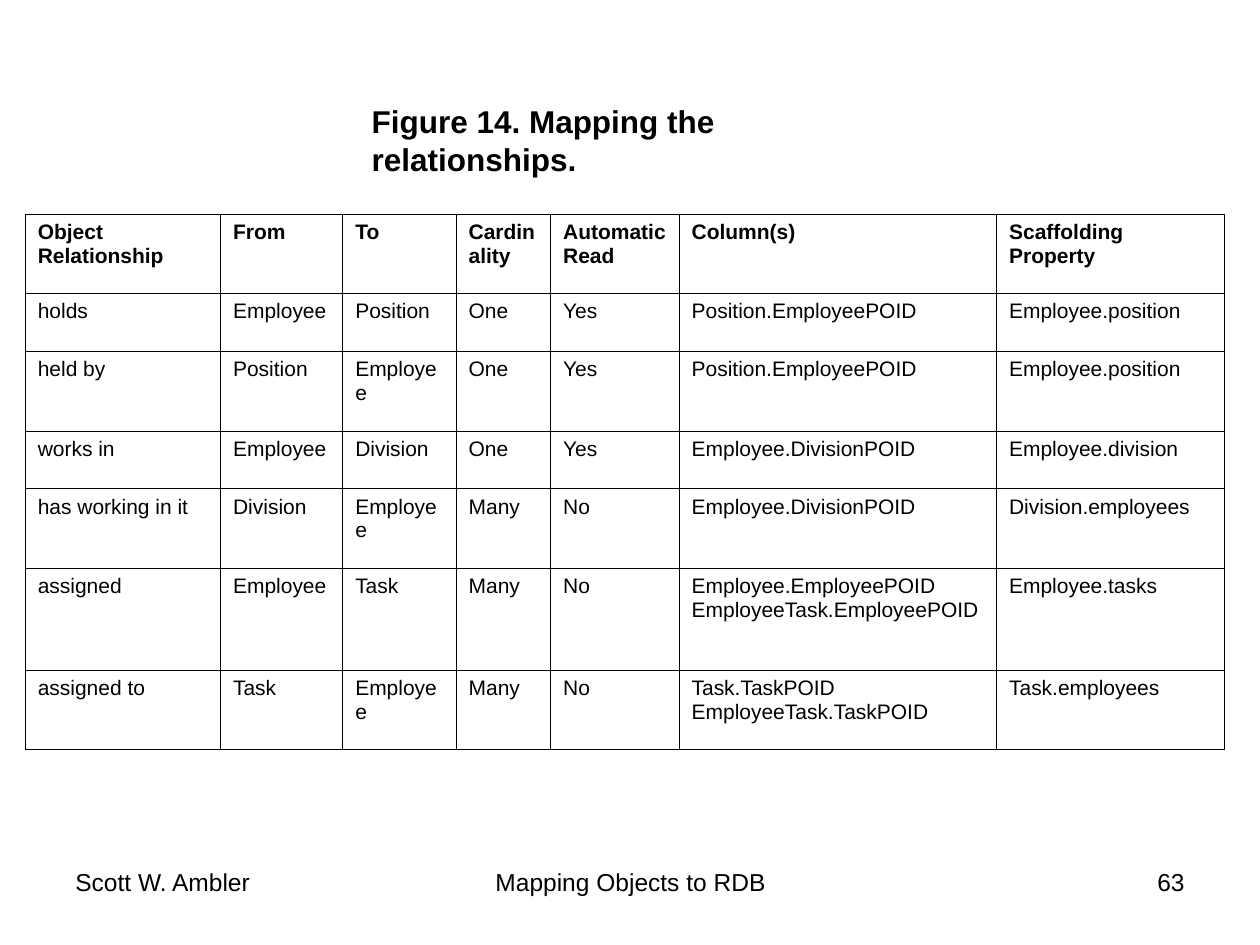
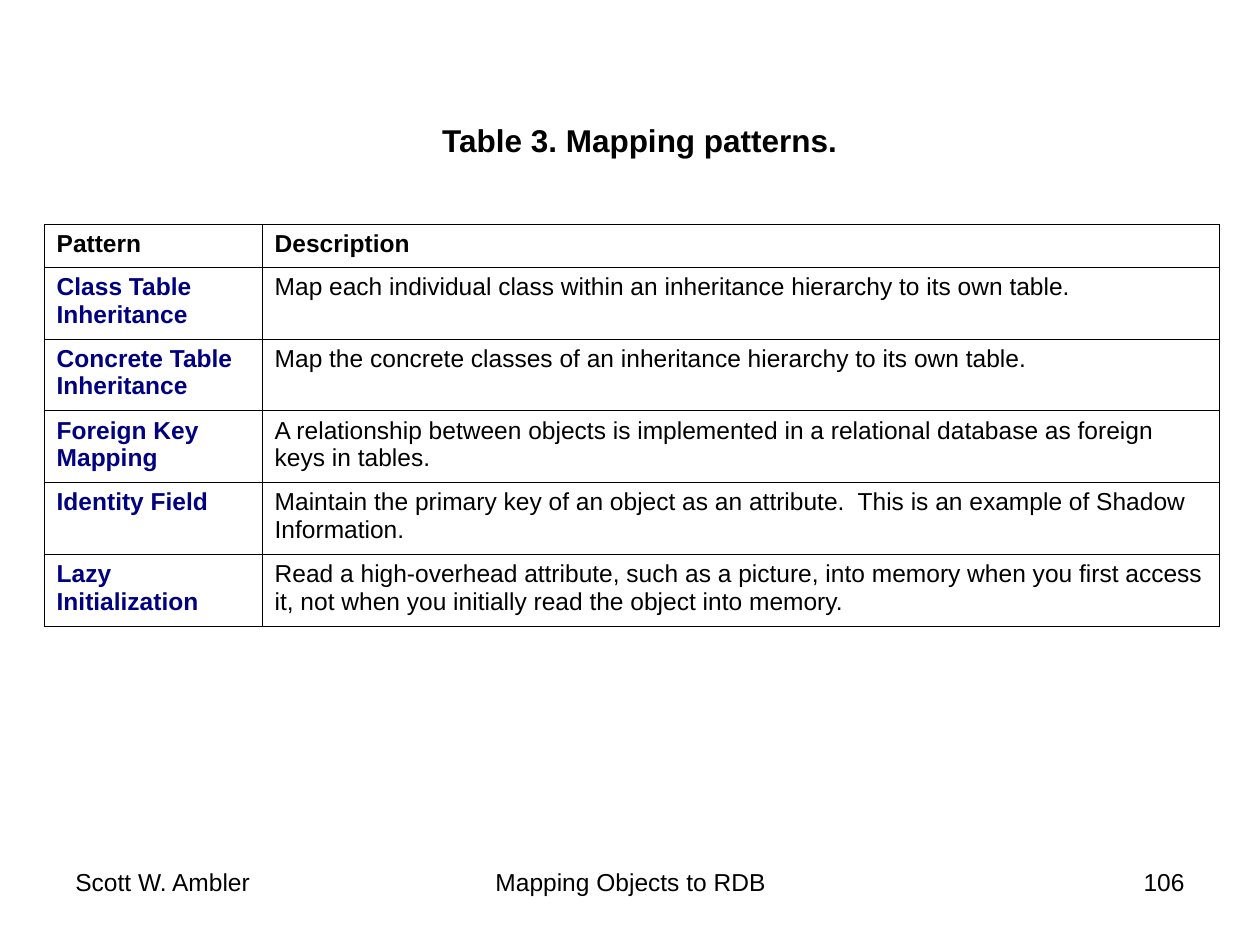
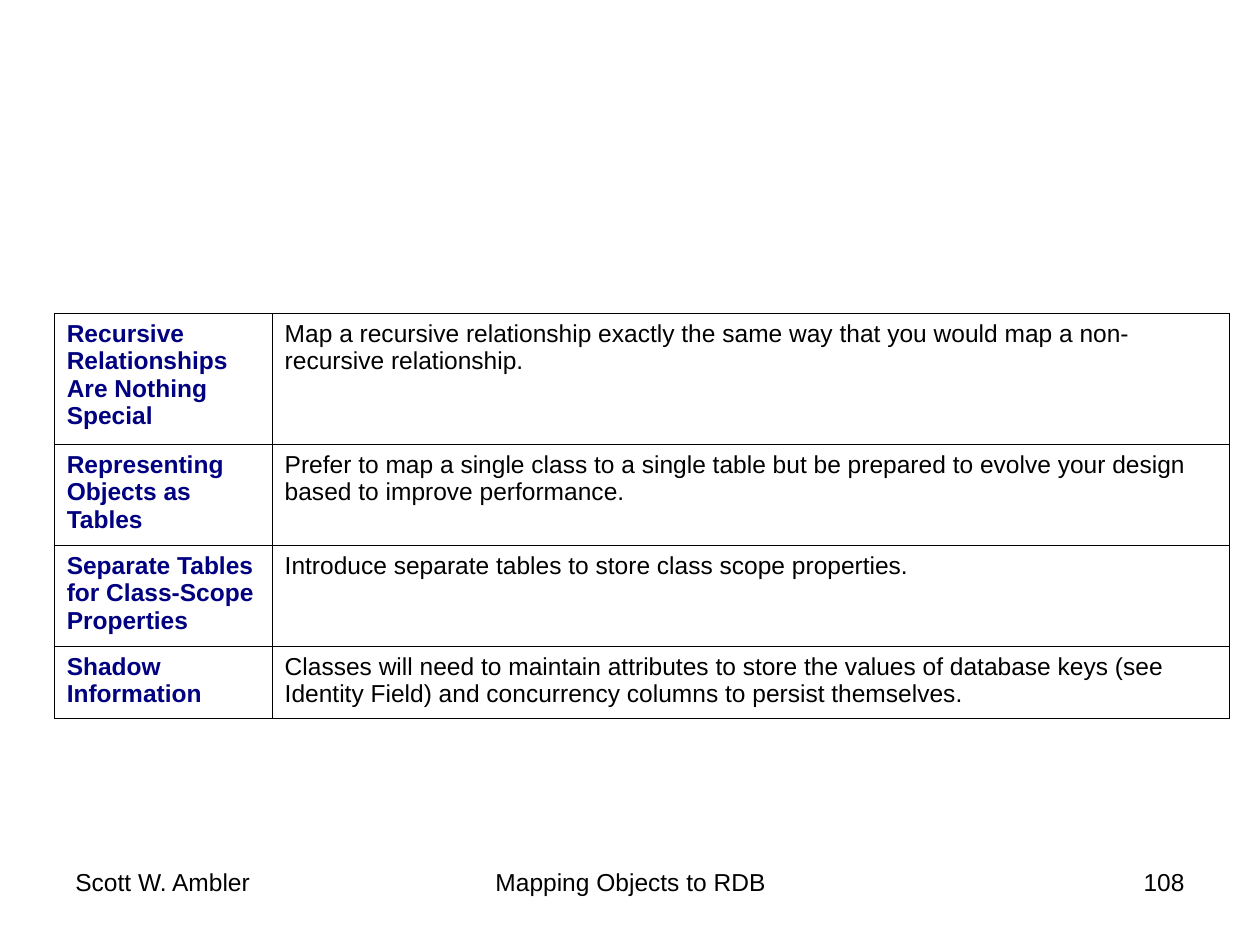
"""Build three slides of tables on mapping objects to relational databases."""
from lxml.etree import SubElement
from pptx import Presentation
from pptx.dml.color import RGBColor
from pptx.enum.text import MSO_ANCHOR, MSO_AUTO_SIZE, PP_ALIGN
from pptx.oxml.ns import qn
from pptx.util import Inches, Pt

BLACK, NAVY = "000000", "000080"
TITLE_ONLY, BLANK = 5, 6
FOOTER_TOP, FOOTER_HEIGHT = 6.83, 0.52
PATTERN_COLUMNS = [1.73, 7.6]


def colour(hex_code):
    return RGBColor.from_string(hex_code)


def write(frame, text, size, hex_code=BLACK, bold=False, align=PP_ALIGN.LEFT):
    frame.vertical_anchor = MSO_ANCHOR.TOP
    for index, line in enumerate(text.split("\n")):
        paragraph = frame.add_paragraph() if index else frame.paragraphs[0]
        paragraph.alignment = align
        run = paragraph.add_run()
        run.text = line
        run.font.name = "Arial"
        run.font.size = Pt(size)
        run.font.bold = bold
        run.font.color.rgb = colour(hex_code)


relationships = [
    ["Object Relationship", "From", "To", "Cardinality", "Automatic Read", "Column(s)", "Scaffolding Property"],
    ["holds", "Employee", "Position", "One", "Yes", "Position.EmployeePOID", "Employee.position"],
    ["held by", "Position", "Employee", "One", "Yes", "Position.EmployeePOID", "Employee.position"],
    ["works in", "Employee", "Division", "One", "Yes", "Employee.DivisionPOID", "Employee.division"],
    ["has working in it", "Division", "Employee", "Many", "No", "Employee.DivisionPOID", "Division.employees"],
    ["assigned", "Employee", "Task", "Many", "No",
     "Employee.EmployeePOID\nEmployeeTask.EmployeePOID", "Employee.tasks"],
    ["assigned to", "Task", "Employee", "Many", "No", "Task.TaskPOID\nEmployeeTask.TaskPOID", "Task.employees"],
]
mapping_patterns = [
    ["Pattern", "Description"],
    ["Class Table Inheritance",
     "Map each individual class within an inheritance hierarchy to its own table."],
    ["Concrete Table Inheritance",
     "Map the concrete classes of an inheritance hierarchy to its own table."],
    ["Foreign Key Mapping",
     "A relationship between objects is implemented in a relational database as foreign keys in tables."],
    ["Identity Field",
     "Maintain the primary key of an object as an attribute.  This is an example of Shadow Information."],
    ["Lazy Initialization",
     "Read a high-overhead attribute, such as a picture, into memory when you first access it, "
     "not when you initially read the object into memory."],
]
more_patterns = [
    ["Recursive Relationships Are Nothing Special",
     "Map a recursive relationship exactly the same way that you would map a non-recursive relationship."],
    ["Representing Objects as Tables",
     "Prefer to map a single class to a single table but be prepared to evolve your design "
     "based to improve performance."],
    ["Separate Tables for Class-Scope Properties",
     "Introduce separate tables to store class scope properties."],
    ["Shadow Information",
     "Classes will need to maintain attributes to store the values of database keys "
     "(see Identity Field) and concurrency columns to persist themselves."],
]

pages = [
    dict(number="63", title="Figure 14. Mapping the relationships.", title_at=(2.85, 0.76, 4.61, 0.4),
         rows=relationships, corner=(0.2, 1.7), size=12, has_header=True, key_colour=None,
         widths=[1.55, 0.97, 0.9, 0.75, 1.02, 2.52, 1.81],
         heights=[0.63, 0.46, 0.63, 0.46, 0.63, 0.81, 0.63]),
    dict(number="106", title="Table 3. Mapping patterns.", title_at=(3.41, 0.91, 3.35, 0.4),
         rows=mapping_patterns, corner=(0.35, 1.78), size=14, has_header=True, key_colour=NAVY,
         widths=PATTERN_COLUMNS, heights=[0.34] + [0.57] * 5),
    dict(number="108", title=None,
         rows=more_patterns, corner=(0.43, 2.49), size=14, has_header=False, key_colour=NAVY,
         widths=PATTERN_COLUMNS, heights=[1.04, 0.8, 0.8, 0.57]),
]

deck = Presentation()
deck.slide_width, deck.slide_height = Inches(10), Inches(7.5)

for page in pages:
    slide = deck.slides.add_slide(deck.slide_layouts[TITLE_ONLY if page["title"] else BLANK])
    if page["title"]:
        heading = slide.shapes.title
        heading.left, heading.top, heading.width, heading.height = map(Inches, page["title_at"])
        heading.text_frame.word_wrap = False
        heading.text_frame.auto_size = MSO_AUTO_SIZE.NONE
        write(heading.text_frame, page["title"], 18, bold=True)

    rows, widths, heights = page["rows"], page["widths"], page["heights"]
    left, top = page["corner"]
    grid = slide.shapes.add_table(len(rows), len(widths), Inches(left), Inches(top),
                                  Inches(sum(widths)), Inches(sum(heights))).table
    grid.first_row = page["has_header"]
    grid.horz_banding = False
    for column, width in zip(grid.columns, widths):
        column.width = Inches(width)
    for row, height in zip(grid.rows, heights):
        row.height = Inches(height)

    for r, texts in enumerate(rows):
        for c, text in enumerate(texts):
            cell = grid.cell(r, c)
            is_header = page["has_header"] and r == 0
            is_key = page["key_colour"] is not None and c == 0 and not is_header
            write(cell.text_frame, text, page["size"],
                  page["key_colour"] if is_key else BLACK, is_header or is_key)
            cell.margin_left = cell.margin_right = Inches(0.1)
            cell.margin_top = cell.margin_bottom = Inches(0.05)
            properties = cell._tc.get_or_add_tcPr()
            for side in ("lnL", "lnR", "lnT", "lnB"):
                border = SubElement(properties, qn(f"a:{side}"), w=str(Pt(0.45)))
                paint = SubElement(border, qn("a:solidFill"))
                SubElement(paint, qn("a:srgbClr"), val=BLACK)
            cell.fill.background()

    footers = [
        ("Mapping Objects to RDB", 3.42, 3.17, PP_ALIGN.CENTER),
        (page["number"], 7.17, 2.33, PP_ALIGN.RIGHT),
        ("Scott W. Ambler", 0.5, 2.33, PP_ALIGN.LEFT),
    ]
    for text, left, width, align in footers:
        footer = slide.shapes.add_textbox(Inches(left), Inches(FOOTER_TOP),
                                          Inches(width), Inches(FOOTER_HEIGHT))
        footer.text_frame.word_wrap = True
        write(footer.text_frame, text, 14, align=align)

deck.save("out.pptx")
